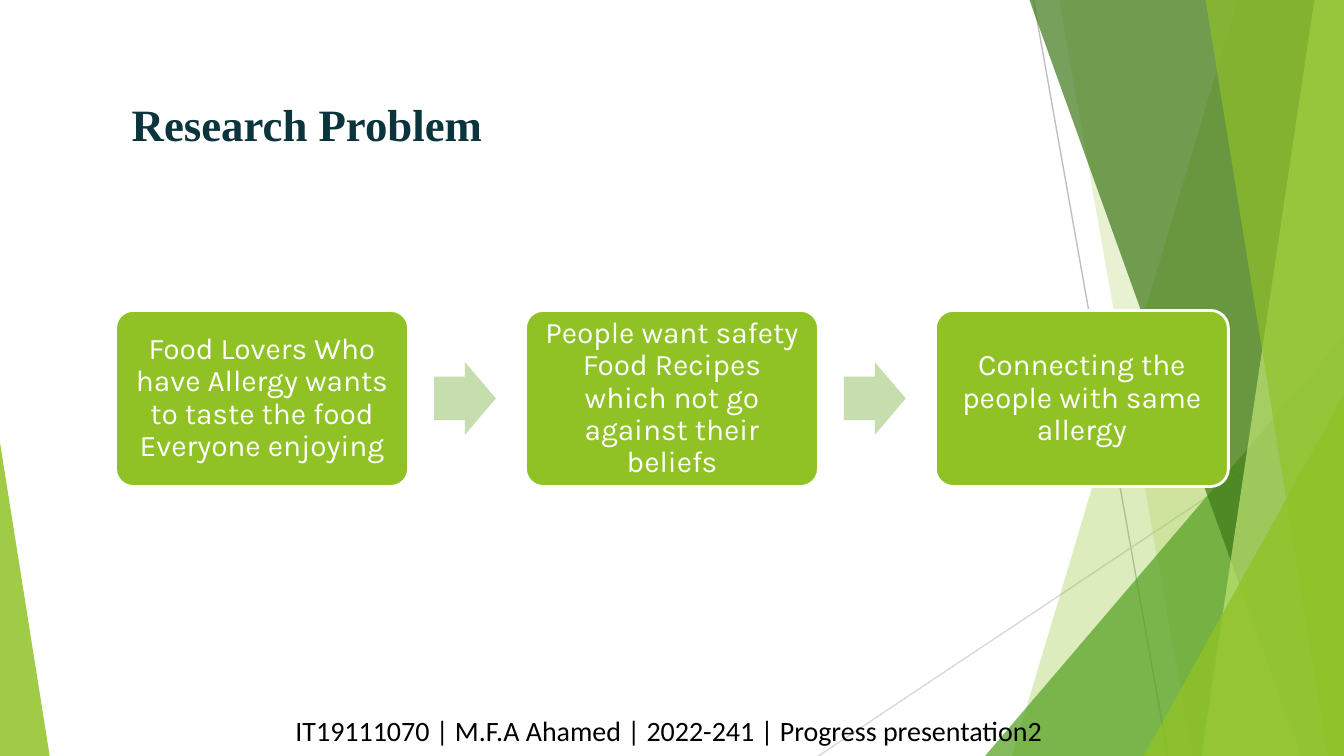
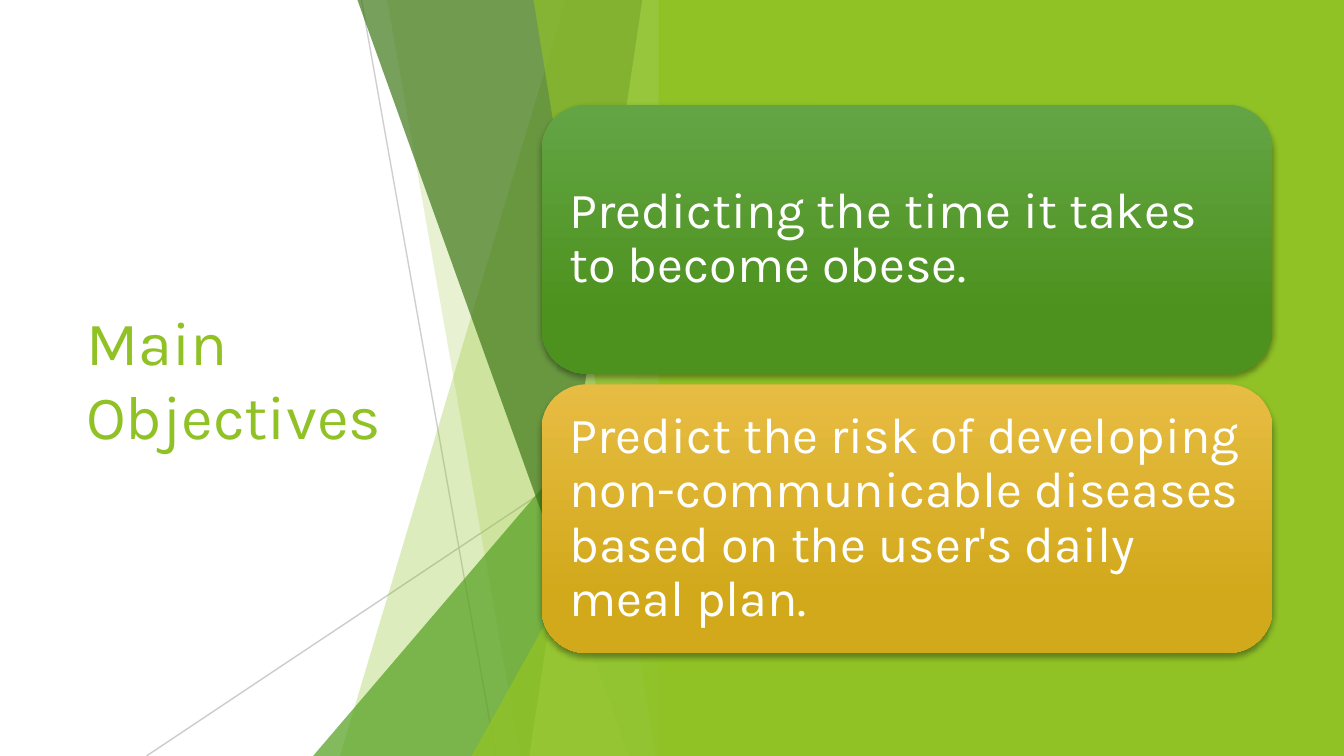
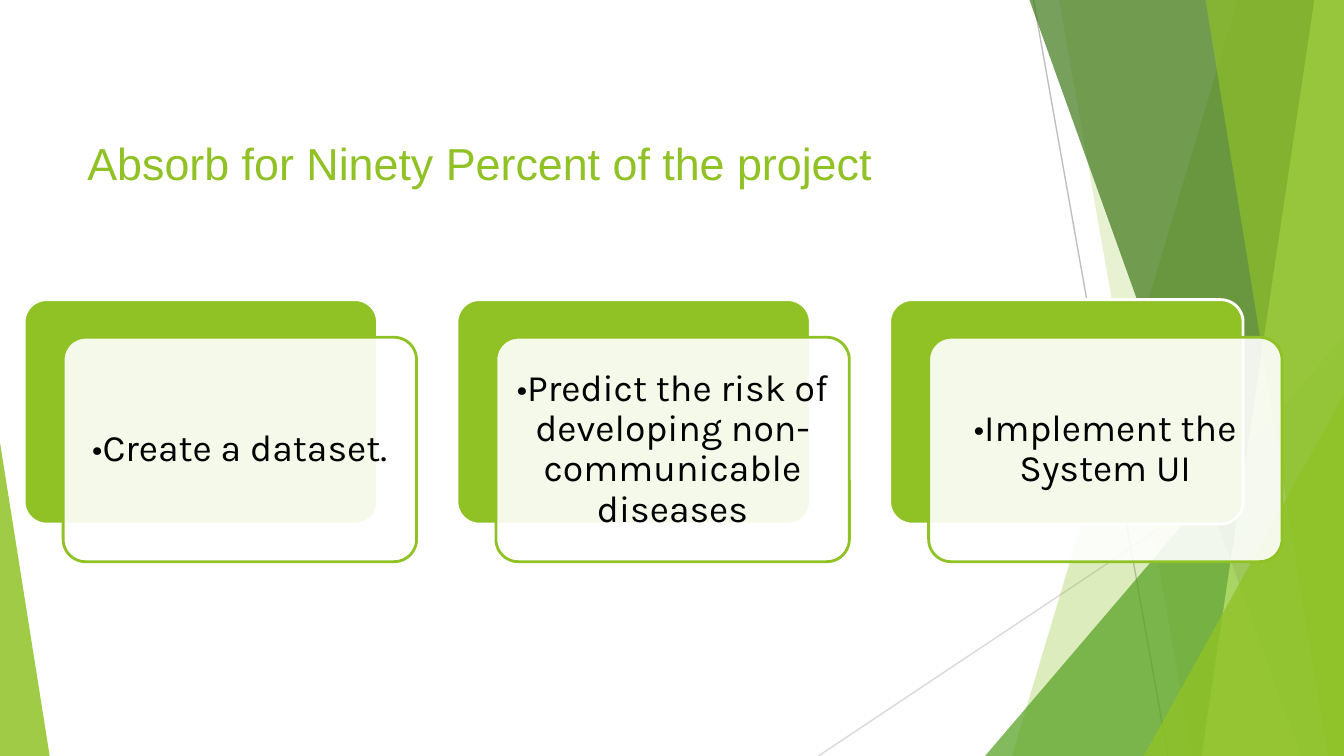
from lxml import etree
from pptx import Presentation
from pptx import util as u
from pptx.dml.color import RGBColor
from pptx.enum import shapes, text
from pptx.oxml.ns import qn

W, H = 10, 10 * 9 / 16
SHAPE, ANCHOR, ALIGN = shapes.MSO_SHAPE, text.MSO_ANCHOR, text.PP_ALIGN

C = {
    "lime": "90C226", "green": "54A021", "forest": "3F7819", "pale": "C0E474",
    "arrow": "C6DDAD", "navy": "0C343D", "white": "FFFFFF", "black": "000000",
    "grey": "BFBFBF", "light_grey": "D9D9D9",
    "leaf_top": "63A545", "leaf": "4D921E", "gold_top": "E7BC43", "gold": "D2A91B",
}

# Content
PROBLEM = "Research Problem"
PROBLEM_STEPS = [
    "Food Lovers Who have Allergy wants to taste the food Everyone enjoying",
    "People want safety Food Recipes which not go against their beliefs",
    "Connecting the people with same allergy",
]
FOOTER = "IT19111070 | M.F.A Ahamed | 2022-241 | Progress presentation2"
OBJECTIVES = "Main Objectives"
OBJECTIVE_CARDS = [
    ("Predicting the time it takes to become obese.", "leaf_top", "leaf"),
    ("Predict the risk of developing non-communicable diseases based on "
     "the user's daily meal plan.", "gold_top", "gold"),
]
REMAINING = "Absorb for Ninety Percent of the project"
REMAINING_TASKS = [
    "•Create a dataset.",
    "•Predict the risk of developing non-communicable diseases",
    "•Implement the System UI",
]

# Shared decoration, back to front; bands run from the top edge to the bottom edge
RAYS = [((7.69, 0), (8.69, H)), ((10, 3.02), (6.09, H))]
FACETS = [
    ("band", 9.21, 7.53, "lime", 30),
    ("band", 7.88, 8.87, "lime", 20),
    ("corner", 7.33, 2.5, "green", 72),
    ("band", 7.66, 9.68, "forest", 70),
    ("band", 9.78, 8.94, "pale", 70),
    ("band", 8.97, 9.88, "lime", 65),
    ("corner", 8.51, 2.94, "lime", 80),
]


def rgb(name):
    return RGBColor.from_string(C[name])


def box(*lengths):
    return [u.Inches(n) for n in lengths]


def set_alpha(parent, percent):
    """Make the solid fill inside parent partly transparent."""
    color = parent.find(qn("a:solidFill") + "/" + qn("a:srgbClr"))
    etree.SubElement(color, qn("a:alpha"), val=str(percent * 1000))


def paint(sp, fill, alpha=100, line=None):
    sp.shadow.inherit = False
    sp.fill.solid()
    sp.fill.fore_color.rgb = rgb(fill)
    if alpha < 100:
        set_alpha(sp._element.spPr, alpha)
    if line:
        sp.line.color.rgb = rgb(line)
        sp.line.width = u.Pt(1.5)
    else:
        sp.line.fill.background()
    return sp


def add_shape(parent, kind, at, fill, adj=None, **look):
    sp = parent.shapes.add_shape(kind, *box(*at))
    for i, value in enumerate(adj or []):
        sp.adjustments[i] = value
    return paint(sp, fill, **look)


def write(sp, words, size, font="Karla", color="white", bold=False, inset=0.1,
          side=None, align=ALIGN.LEFT, anchor=ANCHOR.MIDDLE, spacing=None):
    tf = sp.text_frame
    tf.word_wrap, tf.auto_size = True, text.MSO_AUTO_SIZE.NONE
    tf.vertical_anchor = anchor
    tf.margin_top = tf.margin_bottom = u.Inches(inset)
    tf.margin_left = tf.margin_right = u.Inches(inset if side is None else side)
    p = tf.paragraphs[0]
    p.alignment = align
    if spacing:
        p.line_spacing = spacing
    r = p.add_run()
    r.text = words
    r.font.name, r.font.size, r.font.bold = font, u.Pt(size), bold
    r.font.color.rgb = rgb(color)


def decorate(s, shift=0, rays=(("grey", 100), ("light_grey", 100)), left_corner=True):
    g = s.shapes.add_group_shape()
    right = W + shift
    for ((x1, y1), (x2, y2)), (color, alpha) in zip(RAYS, rays):
        ray = g.shapes.add_connector(shapes.MSO_CONNECTOR.STRAIGHT,
                                     *box(x1 + shift, y1, x2 + shift, y2))
        ray.line.color.rgb, ray.line.width = rgb(color), u.Pt(0.75)
        if alpha < 100:
            set_alpha(ray._element.spPr.find(qn("a:ln")), alpha)
        etree.SubElement(ray._element.spPr, qn("a:effectLst"))
    for kind, a, b, color, alpha in FACETS:
        x = a + shift
        if kind == "band":
            outline = g.shapes.build_freeform(*box(x, 0), scale=1.0)
            corners = [(right, 0), (right, H), (b + shift, H)]
            outline.add_line_segments([box(*c) for c in corners], close=True)
            paint(outline.convert_to_shape(), color, alpha)
        else:
            add_shape(g, SHAPE.ISOSCELES_TRIANGLE, (x, b, right - x, H - b),
                      color, [1], alpha=alpha)
    if left_corner:
        add_shape(g, SHAPE.ISOSCELES_TRIANGLE, (0, 3.29, 0.37, H - 3.29),
                  "lime", [0], alpha=85)


def new_slide(prs, title, at, title_format, **decor):
    s = prs.slides.add_slide(prs.slide_layouts[5])
    sp = s.shapes.title
    sp.left, sp.top, sp.width, sp.height = box(*at)
    write(sp, title, **title_format)
    decorate(s, **decor)
    return s


def problem_slide(prs):
    s = new_slide(prs, PROBLEM, (0.88, 0.67, 4.64, 0.5),
                  dict(size=24, font="Times New Roman", color="navy", bold=True,
                       inset=0.05, side=0.1, anchor=ANCHOR.TOP))
    footer = s.shapes.add_textbox(*box(2.1, 5.17, 5.81, 0.49))
    write(footer, FOOTER, 15, font="Calibri", color="black", anchor=ANCHOR.TOP,
          spacing=1.15)
    # Steps joined by block arrows
    left, top, w, h, pitch = 0.86, 2.31, 2.18, 1.31, 3.05
    arrow_w, arrow_h = 0.46, 0.54
    for i, step in enumerate(PROBLEM_STEPS):
        x = left + i * pitch
        if i:
            add_shape(s, SHAPE.RIGHT_ARROW,
                      (x - 0.68, top + (h - arrow_h) / 2, arrow_w, arrow_h),
                      "arrow", [0.6, 0.5])
        card = add_shape(s, SHAPE.ROUNDED_RECTANGLE, (x, top, w, h), "lime", [0.1],
                         line="white")
        write(card, step, 16, inset=0.07, align=ALIGN.CENTER, spacing=0.9)


def objectives_slide(prs):
    s = new_slide(prs, OBJECTIVES, (0.54, 1.13, 2.91, 3.36),
                  dict(size=33, color="lime", inset=0.05, side=0.1),
                  shift=-W / 2, rays=(("grey", 75), ("grey", 80)), left_corner=False)
    add_shape(s, SHAPE.RECTANGLE, (4.9, 0, W - 4.9, H), "lime")
    # Stacked gradient cards
    for i, (words, light, dark) in enumerate(OBJECTIVE_CARDS):
        card = add_shape(s, SHAPE.ROUNDED_RECTANGLE,
                         (4.03, 0.78 + i * 2.08, 5.44, 2), dark)
        card.fill.gradient()
        card.fill.gradient_angle = 270
        for stop, color, position in zip(card.fill.gradient_stops,
                                         (light, dark), (0, 0.78)):
            stop.color.rgb, stop.position = rgb(color), position
        effects = card._element.spPr.find(qn("a:effectLst"))
        shadow = etree.SubElement(effects, qn("a:outerShdw"), blurRad=str(u.Pt(3)),
                                  dist=str(u.Pt(2)), dir="5400000", rotWithShape="0")
        tone = etree.SubElement(shadow, qn("a:srgbClr"), val=C["black"])
        etree.SubElement(tone, qn("a:alpha"), val="35000")
        write(card, words, 27, inset=0.11, spacing=0.9)


def remaining_slide(prs):
    s = new_slide(prs, REMAINING, (0.55, 0.91, 8.41, 0.59),
                  dict(size=24, font="Arial", color="lime", anchor=ANCHOR.TOP))
    # Each task card overlaps a backing card
    for i, task in enumerate(REMAINING_TASKS):
        x, y, size = 0.18 + i * 3.22, 2.23, (2.63, 1.67)
        add_shape(s, SHAPE.ROUNDED_RECTANGLE, (x, y, *size), "lime", [0.1],
                  line="white")
        card = add_shape(s, SHAPE.ROUNDED_RECTANGLE, (x + 0.29, y + 0.28, *size),
                         "white", [0.1], alpha=90, line="lime")
        write(card, task, 20, color="black", inset=0.08, align=ALIGN.CENTER,
              spacing=0.9)


def main():
    prs = Presentation()
    prs.slide_width, prs.slide_height = box(W, H)
    for build in (problem_slide, objectives_slide, remaining_slide):
        build(prs)
    prs.save("out.pptx")


if __name__ == "__main__":
    main()
